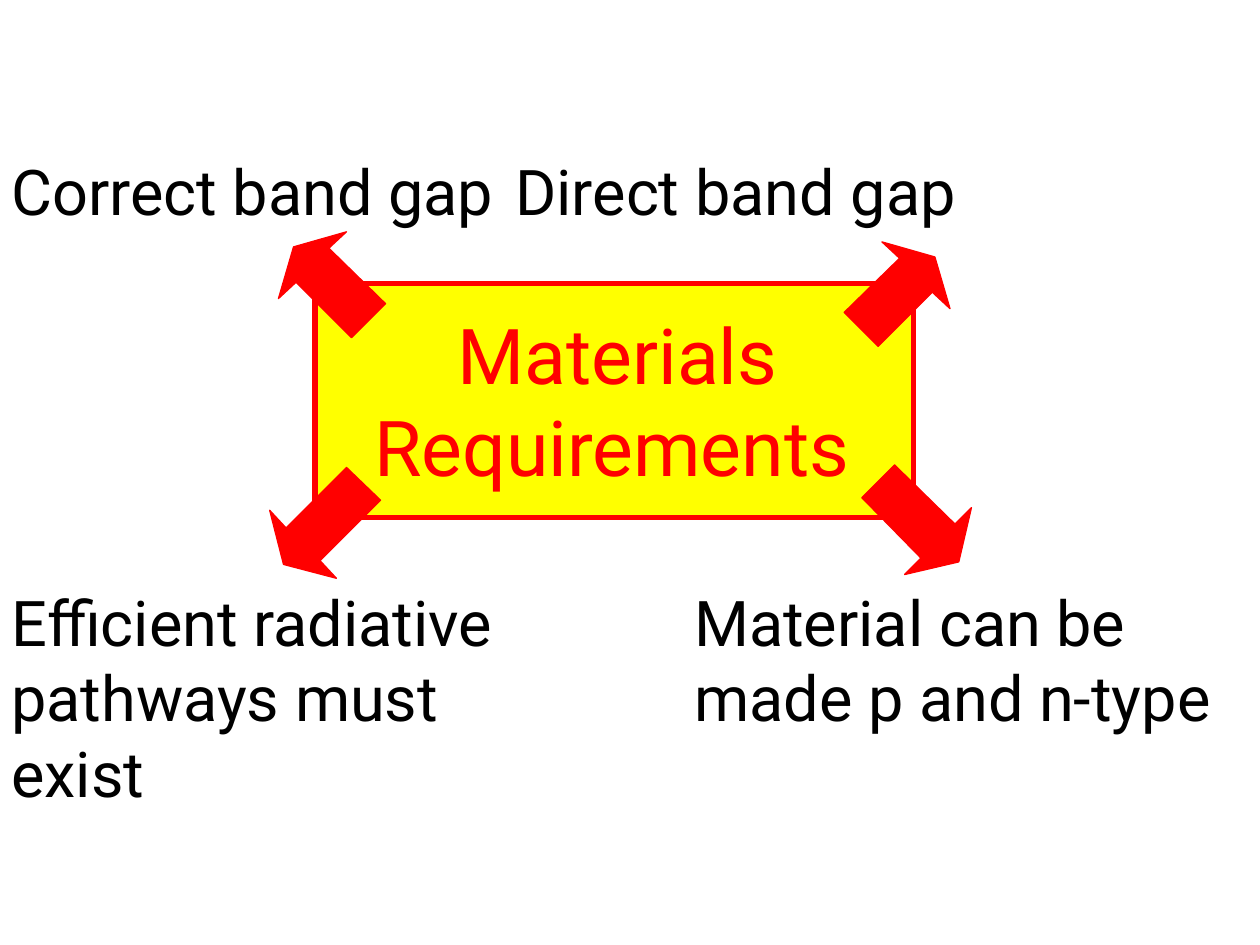
"""Build the materials requirements slide."""
from lxml.etree import SubElement
from pptx import Presentation
from pptx.dml.color import RGBColor
from pptx.enum.shapes import MSO_SHAPE
from pptx.oxml.ns import qn
from pptx.util import Inches, Pt

RED = RGBColor(0xFF, 0x00, 0x00)
YELLOW = RGBColor(0xFF, 0xFF, 0x00)
BLACK = RGBColor(0x00, 0x00, 0x00)

ARROWS = [
    [(2.75, 1.84), (2.33, 1.96), (2.21, 2.37), (2.35, 2.24), (2.79, 2.68), (3.06, 2.41), (2.61, 1.97)],
    [(7.0, 1.92), (7.14, 2.05), (6.7, 2.48), (6.97, 2.75), (7.4, 2.32), (7.54, 2.45), (7.42, 2.04)],
    [(7.1, 3.69), (6.84, 3.95), (7.31, 4.43), (7.18, 4.56), (7.61, 4.46), (7.71, 4.03), (7.58, 4.16)],
    [(2.75, 3.71), (2.27, 4.19), (2.14, 4.05), (2.25, 4.48), (2.67, 4.59), (2.54, 4.45), (3.02, 3.97)],
]


def write(tf, text, size=36, color=BLACK, font="Roboto", indent=0, tab=None):
    p = tf.paragraphs[0]
    p.space_before = Pt(1)
    pPr = p._p.get_or_add_pPr()
    pPr.set("marL", str(Inches(0.01)))
    pPr.set("indent", str(Inches(indent)))
    if tab:
        tabs = SubElement(pPr, qn("a:tabLst"))
        SubElement(tabs, qn("a:tab"), pos=str(Inches(tab)), algn="l")
    r = p.add_run()
    r.text = text
    r.font.name, r.font.size = font, Pt(size)
    r.font.color.rgb = color


class Deck:
    def __init__(self, prs):
        self.shapes = prs.slides.add_slide(prs.slide_layouts[6]).shapes

    def paint(self, s, fill, line, width):
        s.shadow.inherit = False
        s.fill.solid()
        s.fill.fore_color.rgb = fill
        s.line.color.rgb = line
        s.line.width = Pt(width)

    def box(self, x, y, w, h):
        s = self.shapes.add_shape(MSO_SHAPE.RECTANGLE, Inches(x), Inches(y), Inches(w), Inches(h))
        self.paint(s, YELLOW, RED, 3)

    def arrow(self, points):
        start, *rest = [(Inches(x), Inches(y)) for x, y in points]
        builder = self.shapes.build_freeform(*start)
        builder.add_line_segments(rest, close=True)
        self.paint(builder.convert_to_shape(), RED, RED, 0.75)

    def text(self, x, y, w, h, text, **style):
        tf = self.shapes.add_textbox(Inches(x), Inches(y), Inches(w), Inches(h)).text_frame
        tf.word_wrap = True
        tf.margin_left = tf.margin_right = tf.margin_bottom = 0
        tf.margin_top = Inches(0.01)
        write(tf, text, **style)


def main():
    prs = Presentation()
    prs.slide_width, prs.slide_height = Inches(10), Inches(7.5)
    deck = Deck(prs)
    deck.box(2.5, 2.25, 4.75, 1.86)
    deck.text(2.96, 2.43, 3.83, 1.49, "Materials Requirements", size=44, color=RED, indent=0.66)
    deck.text(0.08, 1.2, 9.47, 0.63, "Correct band gap\tDirect band gap", tab=5.93)
    deck.text(5.5, 4.62, 4.2, 1.23, "Material can be made p and n-type")
    deck.text(0.08, 4.62, 4.5, 1.23, "Efficient radiative pathways must exist")
    for points in ARROWS:
        deck.arrow(points)
    prs.save("out.pptx")


if __name__ == "__main__":
    main()
